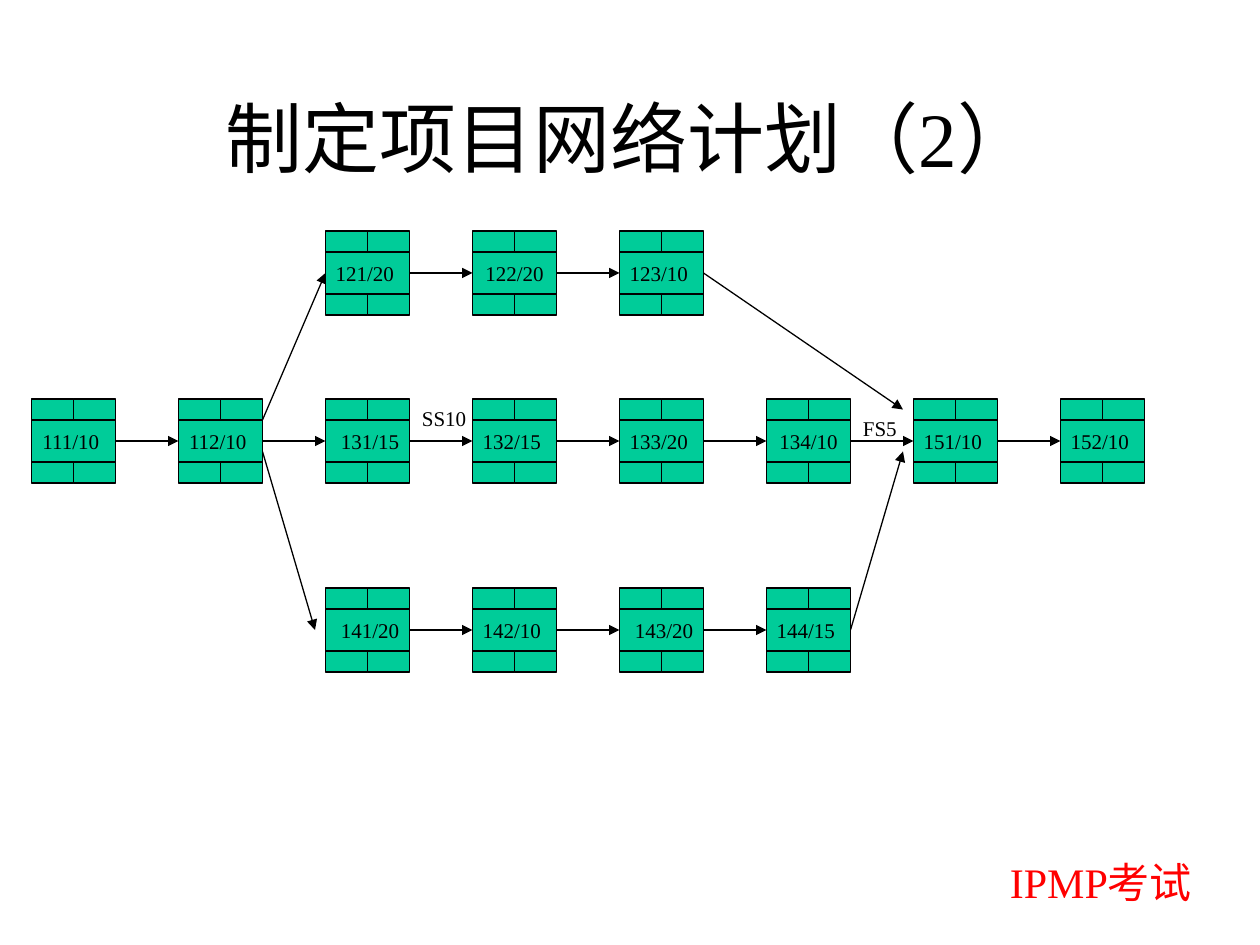
"""Build a slide with a project network plan of linked task boxes."""
from lxml.etree import SubElement as Sub
from pptx import Presentation
from pptx.dml.color import RGBColor as Rgb
from pptx.enum.shapes import MSO_CONNECTOR as Link, MSO_SHAPE as Form
from pptx.enum.text import MSO_ANCHOR as Anchor, PP_ALIGN as Align
from pptx.oxml.ns import qn
from pptx.util import Cm, Pt

HUES = {"ink": "000000", "box": "00CC99", "red": "FF0000"}
FONT = "Times New Roman"
UNIT = 2.54 / 12
LEFT, PITCH, WIDE, THIN, TALL = 3, 14, 8, 2, 4

ROWS = [
    (22, 2, ["121/20 ", "122/20", "123/10 "]),
    (38, 0, ["111/10 ", "112/10 ", " 131/15", "132/15 ",
             "133/20 ", "134/10", "151/10 ", "152/10 "]),
    (56, 2, [" 141/20", "142/10 ", " 143/20", "144/15 "]),
]
SLANTS = [
    ((81, 60), (86, 43)),
    ((25, 43), (30, 60)),
    ((25, 40), (31, 26)),
    ((67, 26), (86, 39)),
]
TEXTS = [
    ("IPMP考试", (95, 81, 22, 6), 24, "red", Align.LEFT),
    ("制定项目网络计划（2）", (9, 8, 102, 15), 44, "ink", Align.CENTER),
    ("SS10", (39, 38, 8, 3.6), 12, "ink", Align.LEFT),
    ("FS5", (81, 39, 8, 3.6), 12, "ink", Align.LEFT),
]


def span(*nums):
    return [Cm(n * UNIT) for n in nums]


def tint(name):
    return Rgb.from_string(HUES[name])


def write(frame, text, size, hue, align):
    para = frame.paragraphs[0]
    para.text = text
    para.alignment = align
    para.font.name, para.font.size = FONT, Pt(size)
    para.font.color.rgb = tint(hue)


def stroke(shape):
    shape.line.color.rgb = tint("ink")
    shape.line.width = Pt(0.75)


def arrow(shapes, start, end):
    line = shapes.add_connector(Link.STRAIGHT, *span(*start, *end))
    stroke(line)
    Sub(line.line._get_or_add_ln(), qn("a:tailEnd"), type="triangle")
    Sub(line._element.spPr, qn("a:effectLst"))


def cell(shapes, *place):
    box = shapes.add_shape(Form.RECTANGLE, *span(*place))
    box.shadow.inherit = False
    box.fill.solid()
    box.fill.fore_color.rgb = tint("box")
    stroke(box)
    return box


def task(shapes, x, y, text):
    group = shapes.add_group_shape().shapes
    half = WIDE / 2
    for top in (y, y + THIN + TALL):
        for left in (x, x + half):
            cell(group, left, top, half, THIN)
    frame = cell(group, x, y + THIN, WIDE, TALL).text_frame
    frame.word_wrap = False
    frame.vertical_anchor = Anchor.MIDDLE
    write(frame, text, 12, "ink", Align.CENTER)


def main():
    deck = Presentation()
    deck.slide_width, deck.slide_height = Cm(25.4), Cm(19.05)
    shapes = deck.slides.add_slide(deck.slide_layouts[6]).shapes
    for text, place, size, hue, align in TEXTS:
        frame = shapes.add_textbox(*span(*place)).text_frame
        frame.word_wrap = True
        write(frame, text, size, hue, align)
    for start, end in SLANTS:
        arrow(shapes, start, end)
    for y, first, names in ROWS:
        mid = y + THIN + TALL / 2
        for col, name in enumerate(names, first):
            x = LEFT + col * PITCH
            if col > first:
                arrow(shapes, (x - PITCH + WIDE, mid), (x, mid))
            task(shapes, x, y, name)
    deck.save("out.pptx")


if __name__ == "__main__":
    main()
